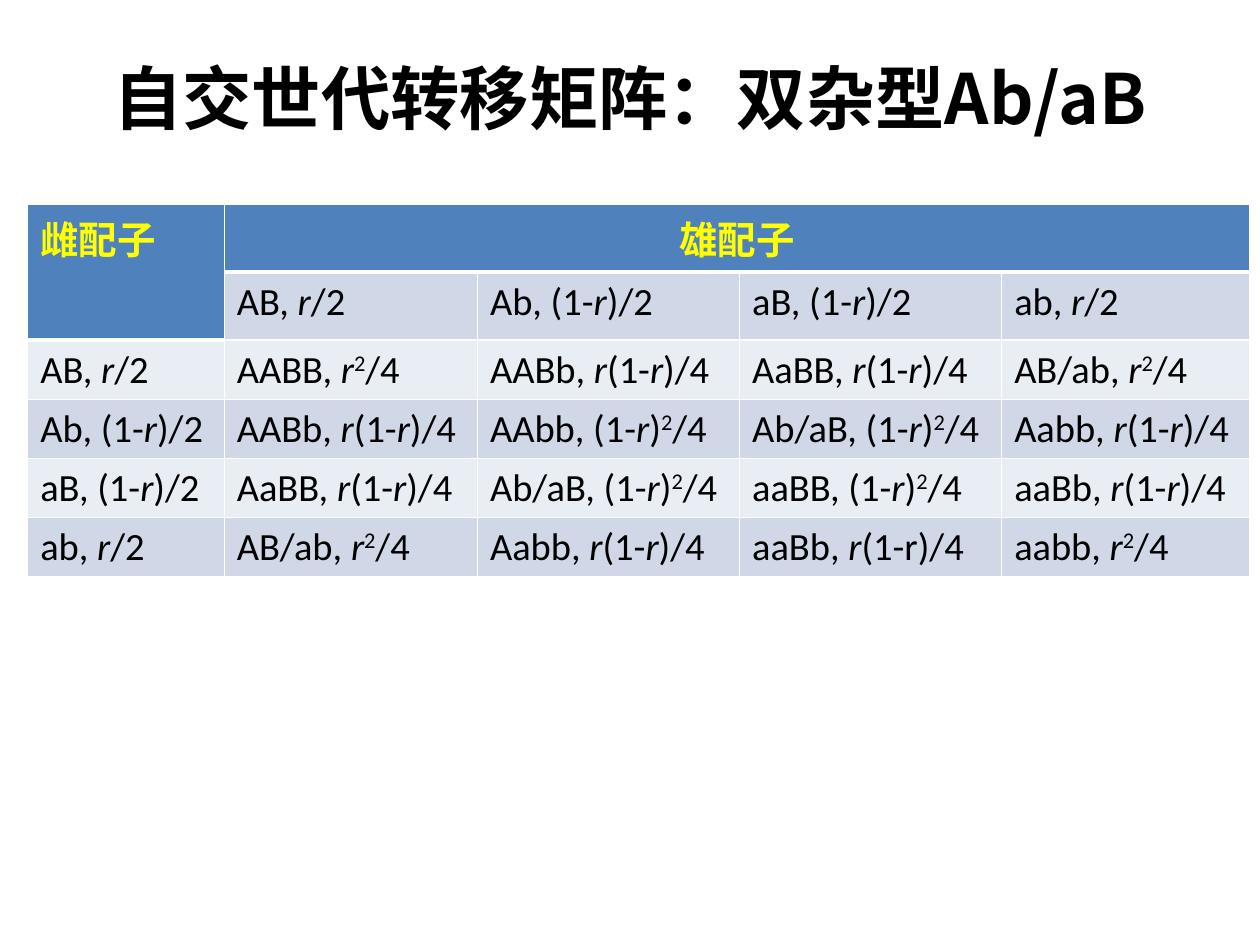
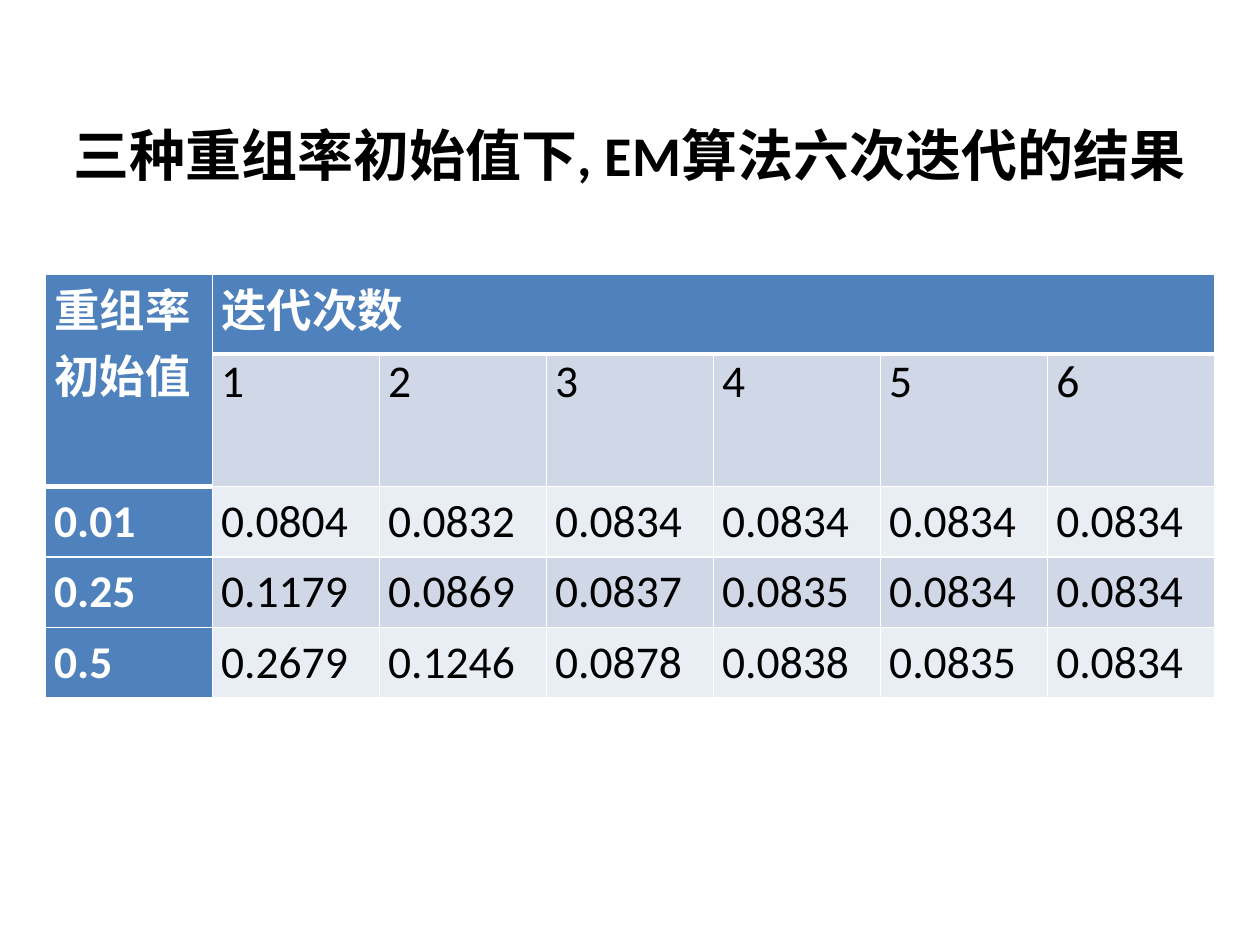
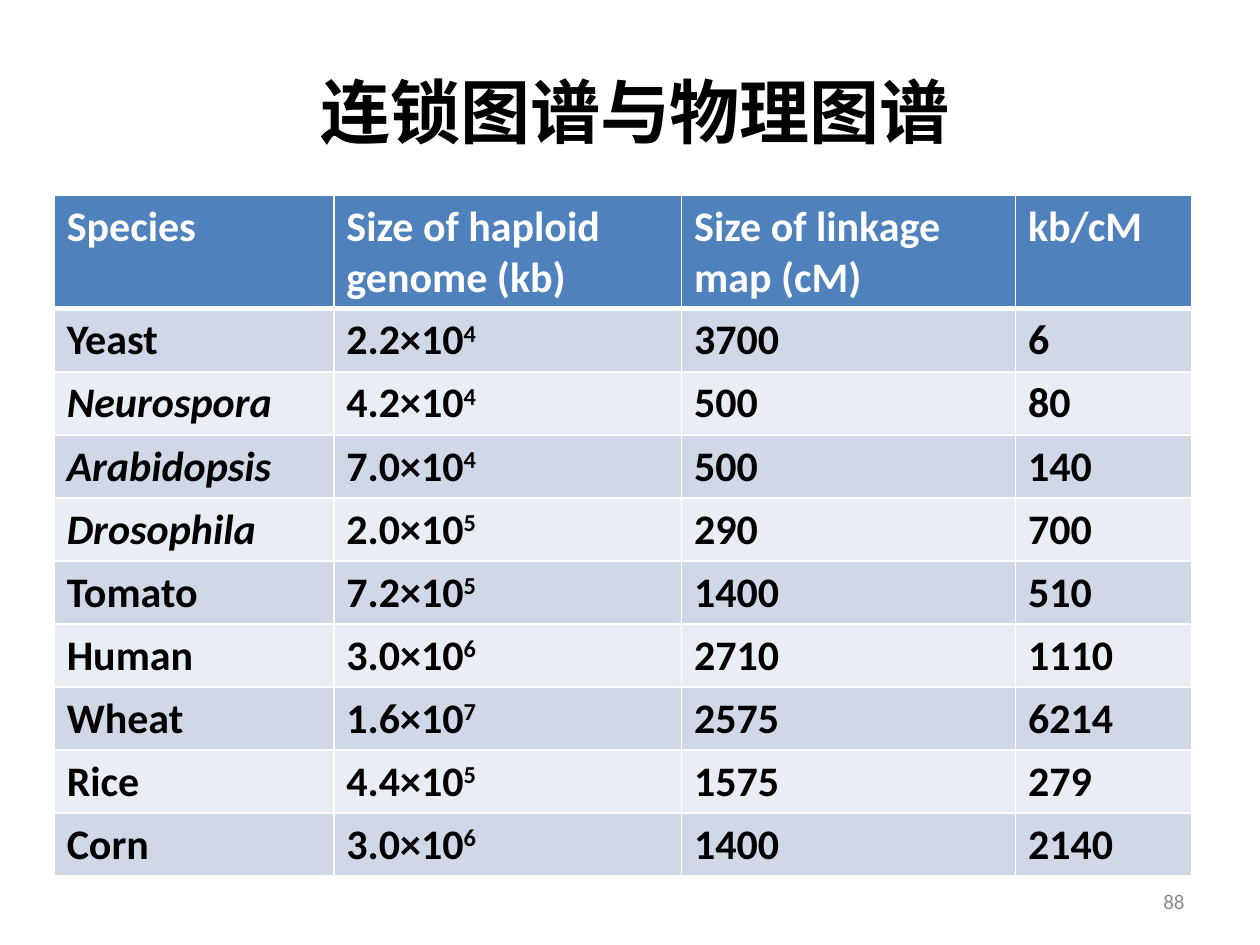
from lxml import etree
from pptx import Presentation
from pptx.dml.color import RGBColor
from pptx.enum.text import MSO_ANCHOR, PP_ALIGN
from pptx.oxml.ns import qn
from pptx.util import Inches, Pt

LEFT, CENTER, RIGHT = PP_ALIGN.LEFT, PP_ALIGN.CENTER, PP_ALIGN.RIGHT
TOP, MIDDLE = MSO_ANCHOR.TOP, MSO_ANCHOR.MIDDLE
LATIN, CJK = "Calibri", "Noto Sans CJK SC"
COLORS = {
    "text": "000000",
    "white": "FFFFFF",
    "yellow": "FFFF00",
    "header": "4F81BD",
    "dark_band": "D0D8E8",
    "light_band": "E9EDF4",
    "page": "8C8C8C",
}

GAMETES = [
    ["雌配子", "雄配子", "", "", ""],
    ["", "AB, *r*/2", "Ab, (1-*r*)/2", "aB, (1-*r*)/2", "ab, *r*/2"],
    ["AB, *r*/2", "AABB, *r*^2^/4", "AABb, *r*(1-*r*)/4", "AaBB, *r*(1-*r*)/4", "AB/ab, *r*^2^/4"],
    ["Ab, (1-*r*)/2", "AABb, *r*(1-*r*)/4", "AAbb, (1-*r*)^2^/4", "Ab/aB, (1-*r*)^2^/4", "Aabb, *r*(1-*r*)/4"],
    ["aB, (1-*r*)/2", "AaBB, *r*(1-*r*)/4", "Ab/aB, (1-*r*)^2^/4", "aaBB, (1-*r*)^2^/4", "aaBb, *r*(1-*r*)/4"],
    ["ab, *r*/2", "AB/ab, *r*^2^/4", "Aabb, *r*(1-*r*)/4", "aaBb, *r*(1-r)/4", "aabb, *r*^2^/4"],
]

ITERATIONS = [
    ["重组率初始值", "迭代次数", "", "", "", "", ""],
    ["", "1", "2", "3", "4", "5", "6"],
    ["0.01", "0.0804", "0.0832", "0.0834", "0.0834", "0.0834", "0.0834"],
    ["0.25", "0.1179", "0.0869", "0.0837", "0.0835", "0.0834", "0.0834"],
    ["0.5", "0.2679", "0.1246", "0.0878", "0.0838", "0.0835", "0.0834"],
]

GENOMES = [
    ["Species", "Size of haploid genome (kb)", "Size of linkage map (cM)", "kb/cM"],
    ["Yeast", "2.2×10^4^", "3700", "6"],
    ["*Neurospora*", "4.2×10^4^", "500", "80"],
    ["*Arabidopsis*", "7.0×10^4^", "500", "140"],
    ["*Drosophila*", "2.0×10^5^", "290", "700"],
    ["Tomato", "7.2×10^5^", "1400", "510"],
    ["Human", "3.0×10^6^", "2710", "1110"],
    ["Wheat", "1.6×10^7^", "2575", "6214"],
    ["Rice", "4.4×10^5^", "1575", "279"],
    ["Corn", "3.0×10^6^", "1400", "2140"],
]


class Deck:
    def __init__(self):
        self.prs = Presentation()
        self.prs.slide_width = Inches(10)
        self.prs.slide_height = Inches(7.5)
        self.s = None

    def slide(self):
        self.s = self.prs.slides.add_slide(self.prs.slide_layouts[6])

    def add_runs(self, tf, text, size, color, bold=False, align=LEFT, font=LATIN):
        p = tf.paragraphs[0]
        p.alignment = align
        for i, part in enumerate(text.split("*")):
            for j, piece in enumerate(part.split("^")):
                if piece:
                    self.add_run(p, piece, size, color, bold, font, i % 2 == 1, j % 2 == 1)

    def add_run(self, p, text, size, color, bold, font, italic, raised):
        r = p.add_run()
        r.text = text
        r.font.size = Pt(size)
        r.font.bold = bold
        r.font.italic = italic
        r.font.name = font
        r.font.color.rgb = RGBColor.from_string(COLORS[color])
        rPr = r._r.get_or_add_rPr()
        etree.SubElement(rPr, qn("a:ea")).set("typeface", CJK)
        if raised:
            rPr.set("baseline", "30000")

    def text(self, box, text, size, color, **style):
        sp = self.s.shapes.add_textbox(*map(Inches, box))
        tf = sp.text_frame
        tf.word_wrap = True
        tf.vertical_anchor = MIDDLE
        self.add_runs(tf, text, size, color, **style)

    def title(self, box, text, size, font=LATIN):
        self.text(box, text, size, "text", bold=True, align=CENTER, font=font)

    def page_number(self, number):
        self.text((7.17, 6.95, 2.33, 0.4), number, 12, "page", align=RIGHT)

    def border(self, cell, **widths):
        tcPr = cell._tc.get_or_add_tcPr()
        for side, width in widths.items():
            ln = etree.SubElement(tcPr, qn(f"a:ln{side}"), w=str(Pt(width)))
            fill = etree.SubElement(ln, qn("a:solidFill"))
            etree.SubElement(fill, qn("a:srgbClr"), val=COLORS["white"])

    def table(self, at, rows, widths, heights, size, split_header=False, side_header=False,
              head_color="white", head_font=LATIN, group_align=LEFT, body_bold=False,
              inset=None, body_anchor=TOP):
        frame = self.s.shapes.add_table(len(rows), len(widths), *map(Inches, at),
                                        Inches(sum(widths)), Inches(sum(heights)))
        tbl = frame.table
        for column, width in zip(tbl.columns, widths):
            column.width = Inches(width)
        for row, height in zip(tbl.rows, heights):
            row.height = Inches(height)
        if split_header:
            tbl.cell(0, 0).merge(tbl.cell(1, 0))
            tbl.cell(0, 1).merge(tbl.cell(0, len(widths) - 1))
        for i, texts in enumerate(rows):
            for j, text in enumerate(texts):
                cell = tbl.cell(i, j)
                top_header = i == 0 or (split_header and i == 1 and j == 0)
                header = top_header or (side_header and j == 0)
                if top_header:
                    self.border(cell, L=1, R=1, T=1, B=3)
                else:
                    self.border(cell, L=1, R=1, B=1)
                band = "header" if header else "dark_band" if i % 2 else "light_band"
                cell.fill.solid()
                cell.fill.fore_color.rgb = RGBColor.from_string(COLORS[band])
                if inset is not None:
                    cell.margin_left = cell.margin_right = Inches(inset)
                    cell.margin_top = cell.margin_bottom = 0
                if i > 1:
                    cell.vertical_anchor = body_anchor
                if text:
                    self.add_runs(cell.text_frame, text, size,
                                  head_color if header else "text",
                                  bold=header or body_bold,
                                  align=group_align if (i, j) == (0, 1) else LEFT,
                                  font=head_font if header else LATIN)


def main():
    deck = Deck()

    deck.slide()
    deck.title((0.5, 0.3, 9, 0.93), "自交世代转移矩阵：双杂型Ab/aB", 39.6, font=CJK)
    deck.table((0.22, 1.62), GAMETES, [1.56, 2.01, 2.08, 2.08, 1.97],
               [0.54] * 2 + [0.47] * 4, 22, split_header=True,
               head_color="yellow", head_font=CJK, group_align=CENTER)

    deck.slide()
    deck.title((0.35, 0.84, 9.29, 0.77), "三种重组率初始值下, EM算法六次迭代的结果", 32)
    deck.table((0.36, 2.18), ITERATIONS, [9.28 / 7] * 7, [0.63, 1.05] + [0.56] * 3, 26,
               split_header=True, side_header=True, inset=0.07, body_anchor=MIDDLE)

    deck.slide()
    deck.title((0.51, 0.52, 9.06, 0.71), "连锁图谱与物理图谱", 40)
    deck.page_number("88")
    deck.table((0.43, 1.55), GENOMES, [2.22, 2.76, 2.65, 1.4], [0.9] + [0.5] * 9, 24,
               body_bold=True)

    deck.prs.save("out.pptx")


if __name__ == "__main__":
    main()
